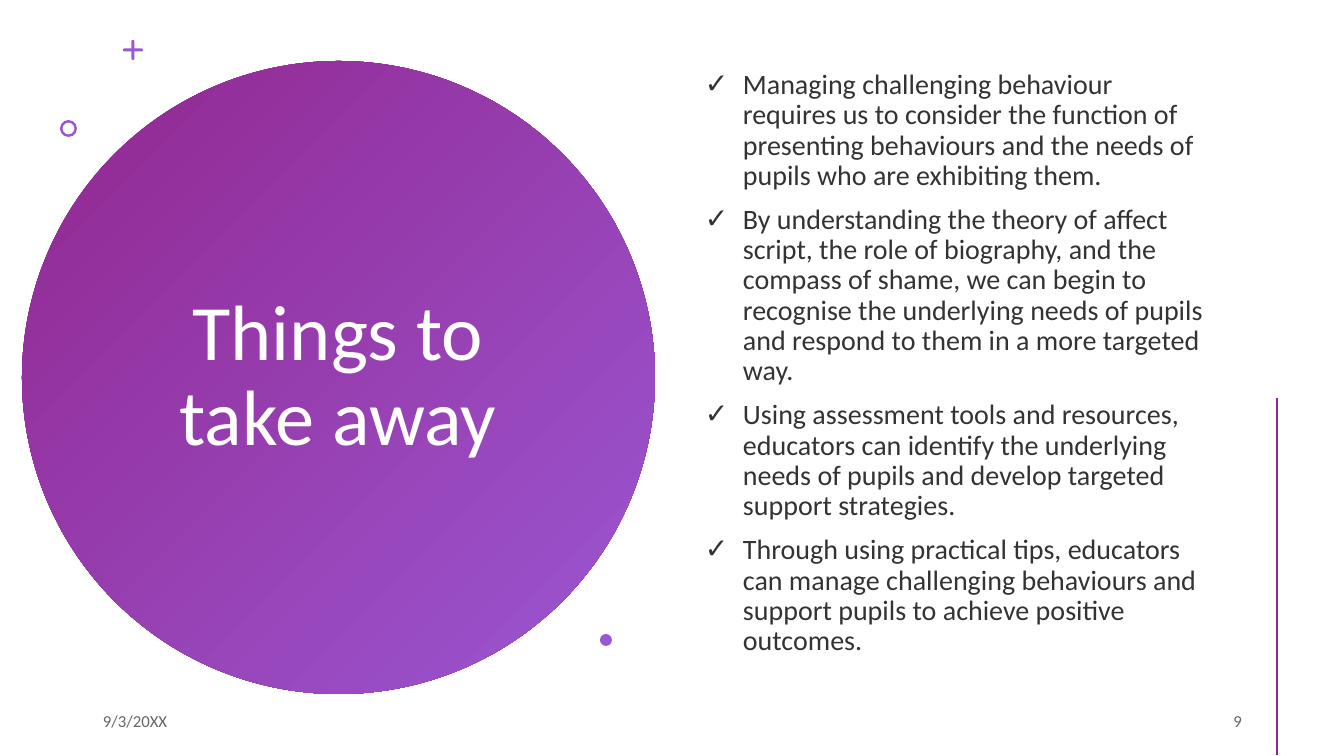
import math

import lxml.etree
import pptx
import pptx.dml.color
import pptx.enum.shapes
import pptx.enum.text
import pptx.oxml.ns
import pptx.util

EMU_PER_PX = 914400 / 100.8
FONT = "Calibri"
PLUM, VIOLET, WHITE = "92278F", "9B57D3", "FFFFFF"
BODY_GREY, FOOTER_GREY = "333333", "666666"

SHAPES = pptx.enum.shapes.MSO_SHAPE
ALIGN = pptx.enum.text.PP_ALIGN

TAKEAWAYS = [
    "Managing challenging behaviour requires us to consider the function of "
    "presenting behaviours and the needs of pupils who are exhibiting them.",
    "By understanding the theory of affect script, the role of biography, and "
    "the compass of shame, we can begin to recognise the underlying needs of "
    "pupils and respond to them in a more targeted way.",
    "Using assessment tools and resources, educators can identify the "
    "underlying needs of pupils and develop targeted support strategies.",
    "Through using practical tips, educators can manage challenging behaviours "
    "and support pupils to achieve positive outcomes.",
]


def px(length):
    return pptx.util.Emu(round(length * EMU_PER_PX))


def colour(hex_string):
    return pptx.dml.color.RGBColor.from_string(hex_string)


def add_child(parent, tag, **attributes):
    return lxml.etree.SubElement(parent, pptx.oxml.ns.qn(tag), **attributes)


def set_bullet(para, symbol, indent):
    properties = para._p.get_or_add_pPr()
    properties.set("marL", str(px(indent)))
    properties.set("indent", str(-px(indent)))
    add_child(properties, "a:buFont", typeface="Wingdings 2" if symbol is None else "Arial")
    add_child(properties, "a:buChar", char=symbol)


def write_text(box, lines, *, size, hex_colour, align=ALIGN.LEFT, line_spacing=None,
               gap=0, bullet=None, indent=0, bottom_inset=5):
    """Fill a box with one paragraph per line, centred vertically."""
    frame = box.text_frame
    frame.word_wrap = True
    frame.auto_size = pptx.enum.text.MSO_AUTO_SIZE.NONE
    frame.vertical_anchor = pptx.enum.text.MSO_ANCHOR.MIDDLE
    frame.margin_bottom = px(bottom_inset)
    for index, line in enumerate(lines):
        para = frame.add_paragraph() if index else frame.paragraphs[0]
        if bullet:
            set_bullet(para, bullet, indent)
        para.alignment = align
        para.space_before = pptx.util.Pt(gap if index else 0)
        if line_spacing:
            para.line_spacing = line_spacing
        span = para.add_run()
        span.text = line
        span.font.name = FONT
        span.font.size = pptx.util.Pt(size)
        span.font.color.rgb = colour(hex_colour)


def add_text(page, left, top, width, height, lines, **text_format):
    box = page.shapes.add_textbox(px(left), px(top), px(width), px(height))
    write_text(box, lines, **text_format)
    return box


def paint(shape, hex_colour):
    shape.shadow.inherit = False
    shape.line.fill.background()
    shape.fill.solid()
    shape.fill.fore_color.rgb = colour(hex_colour)
    return shape


def add_round(page, kind, left, top, size, hex_colour):
    shape = page.shapes.add_shape(kind, px(left), px(top), px(size), px(size))
    return paint(shape, hex_colour)


def add_gradient_circle(page, left, top, size, start, end):
    circle = add_round(page, SHAPES.OVAL, left, top, size, start)
    circle.fill.gradient()
    circle.fill.gradient_angle = 315
    for stop, hex_colour in zip(circle.fill.gradient_stops, (start, end)):
        stop.color.rgb = colour(hex_colour)
    return circle


def add_rounded_plus(page, centre_x, centre_y, reach, half_width, hex_colour):
    """Draw a plus whose four arms end in half circles."""
    points = []
    for quarter in range(4):
        turn = math.radians(90 * quarter)
        arm = [(reach - half_width + half_width * math.cos(math.radians(angle)),
                half_width * math.sin(math.radians(angle)))
               for angle in range(-90, 91, 30)]
        arm.append((half_width, half_width))
        points += [(centre_x + x * math.cos(turn) - y * math.sin(turn),
                    centre_y + x * math.sin(turn) + y * math.cos(turn))
                   for x, y in arm]
    points = [(px(x), px(y)) for x, y in points]
    builder = page.shapes.build_freeform(*points[0], scale=1.0)
    builder.add_line_segments(points[1:], close=True)
    return paint(builder.convert_to_shape(), hex_colour)


def add_line(page, start_x, start_y, end_x, end_y, hex_colour, weight):
    line = page.shapes.add_connector(pptx.enum.shapes.MSO_CONNECTOR.STRAIGHT,
                                     px(start_x), px(start_y), px(end_x), px(end_y))
    line.line.color.rgb = colour(hex_colour)
    line.line.width = pptx.util.Pt(weight)
    add_child(line._element.spPr, "a:effectLst")
    return line


def main():
    deck = pptx.Presentation()
    deck.slide_width, deck.slide_height = px(1344), px(756)
    page = deck.slides.add_slide(deck.slide_layouts[5])

    # Title over the large circle, which goes to the back
    circle = add_gradient_circle(page, 22, 61, 633, PLUM, VIOLET)
    page.shapes._spTree.insert(2, circle._element)
    title = page.shapes.title
    title.left, title.top, title.width, title.height = map(px, (137, 142, 402, 471))
    write_text(title, ["Things to take away"], size=56, hex_colour=WHITE,
               align=ALIGN.CENTER, line_spacing=0.9)

    # Small ornaments around the circle
    add_rounded_plus(page, 133, 50, 10, 1.5, VIOLET)
    ring = add_round(page, SHAPES.DONUT, 60, 120, 17, VIOLET)
    ring.adjustments[0] = 0.15
    add_round(page, SHAPES.OVAL, 600, 634, 12, VIOLET)

    # Takeaways
    add_text(page, 695, 57, 526, 643, TAKEAWAYS, size=20, hex_colour=BODY_GREY,
             line_spacing=0.9, gap=10, bullet="✓", indent=38, bottom_inset=35)

    # Footer and accent line
    add_text(page, 93, 701, 302, 40, ["9/3/20XX"], size=12, hex_colour=FOOTER_GREY)
    add_text(page, 950, 701, 302, 40, ["9"], size=12, hex_colour=FOOTER_GREY,
             align=ALIGN.RIGHT)
    add_line(page, 1277, 398, 1277, 755, PLUM, 2)

    deck.save("out.pptx")


if __name__ == "__main__":
    main()
